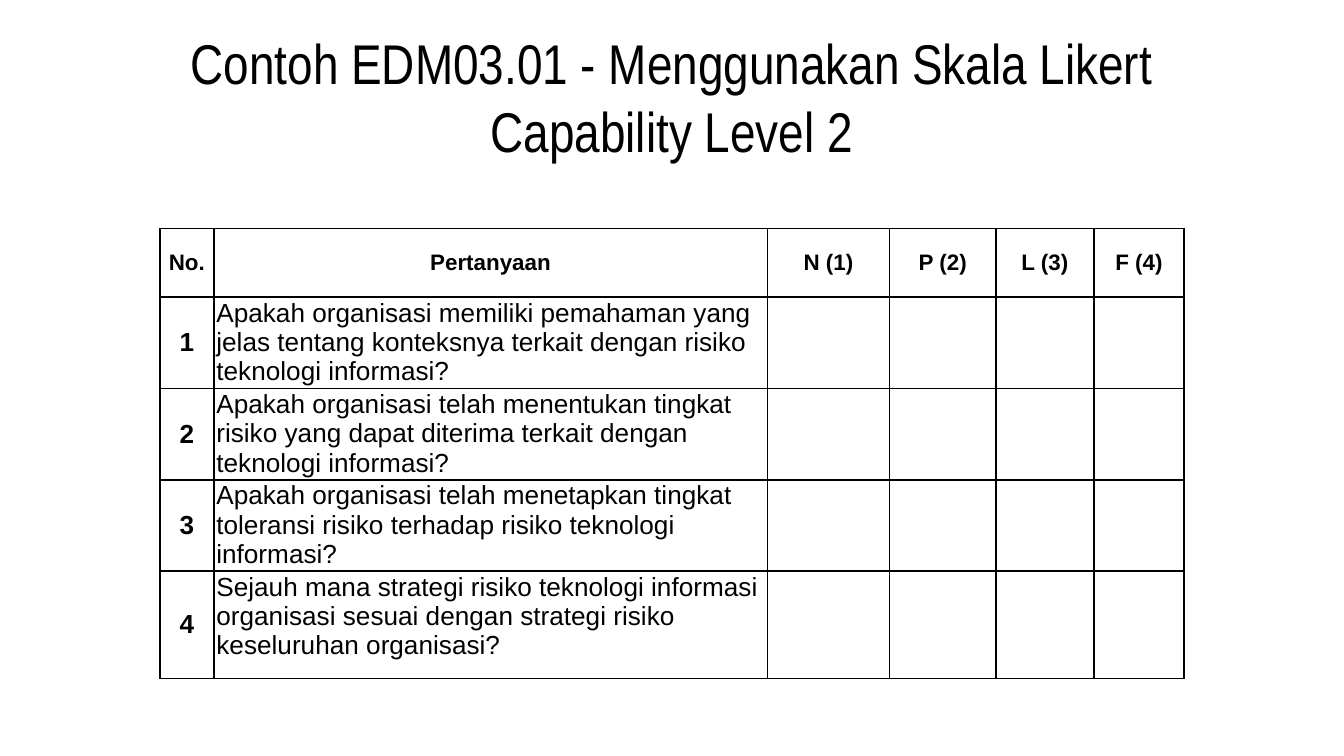
from lxml import etree
from pptx import Presentation
from pptx.dml.color import RGBColor
from pptx.enum.text import MSO_ANCHOR, PP_ALIGN
from pptx.oxml.ns import qn
from pptx.util import Inches, Pt

LEFT, CENTER = PP_ALIGN.LEFT, PP_ALIGN.CENTER
TOP, MIDDLE = MSO_ANCHOR.TOP, MSO_ANCHOR.MIDDLE

TITLE = "Contoh EDM03.01 - Menggunakan Skala Likert\nCapability Level 2"
HEADS = ["No.", "Pertanyaan", "N (1)", "P (2)", "L (3)", "F (4)"]
ASKS = [
    "Apakah organisasi memiliki pemahaman yang jelas tentang konteksnya terkait dengan risiko teknologi informasi?",
    "Apakah organisasi telah menentukan tingkat risiko yang dapat diterima terkait dengan teknologi informasi?",
    "Apakah organisasi telah menetapkan tingkat toleransi risiko terhadap risiko teknologi informasi?",
    "Sejauh mana strategi risiko teknologi informasi organisasi sesuai dengan strategi risiko keseluruhan organisasi?",
]

THEME = {
    "ink": "000000", "paper": "FFFFFF",
    "title": 30, "head": 12, "body": 14, "line": 1,
    "title_font": "Arial Narrow", "font": "Arial",
}
WIDE = 10
HIGH = WIDE * 9 / 16
EDGE = 0.5
COLS = [0.4, 4.12, 0.91, 0.79, 0.73, 0.67]
ROWS = [0.51] + [0.68] * 3 + [0.8]
TABLE_TOP = 1.7


def write(frame, text, size, font=THEME["font"], bold=False, align=LEFT):
    para = frame.paragraphs[0]
    para.text = text
    para.alignment = align
    for run in para.runs:
        run.font.size = Pt(size)
        run.font.name = font
        run.font.bold = bold
        run.font.color.rgb = RGBColor.from_string(THEME["ink"])


def border(cell):
    props = cell._tc.get_or_add_tcPr()
    for spot, side in enumerate(("lnL", "lnR", "lnT", "lnB")):
        line = etree.Element(qn("a:" + side), w=str(Pt(THEME["line"])))
        fill = etree.SubElement(line, qn("a:solidFill"))
        etree.SubElement(fill, qn("a:srgbClr"), val=THEME["ink"])
        props.insert(spot, line)


def style(cell, anchor):
    cell.margin_left = cell.margin_right = Inches(0.02)
    cell.margin_top = cell.margin_bottom = Inches(0.01)
    cell.vertical_anchor = anchor
    cell.fill.solid()
    cell.fill.fore_color.rgb = RGBColor.from_string(THEME["paper"])
    border(cell)


def add_grid(slide):
    data = [HEADS] + [[str(n), ask] for n, ask in enumerate(ASKS, 1)]
    wide = sum(COLS)
    grid = slide.shapes.add_table(
        len(ROWS), len(COLS), Inches((WIDE - wide) / 2), Inches(TABLE_TOP),
        Inches(wide), Inches(sum(ROWS))).table
    grid.first_row = grid.horz_banding = False
    for col, size in zip(grid.columns, COLS):
        col.width = Inches(size)
    for row, size in zip(grid.rows, ROWS):
        row.height = Inches(size)
    for r, texts in enumerate(data):
        for c in range(len(COLS)):
            cell = grid.cell(r, c)
            label = r == 0 or c == 0
            style(cell, MIDDLE if label else TOP)
            if c < len(texts):
                write(cell.text_frame, texts[c],
                      THEME["body"] if r else THEME["head"],
                      bold=label, align=CENTER if label else LEFT)


def add_title(slide):
    box = slide.shapes.add_textbox(
        Inches(EDGE), Inches(0.45), Inches(WIDE - 2 * EDGE), Inches(0.53))
    frame = box.text_frame
    frame.word_wrap = True
    frame.vertical_anchor = MIDDLE
    frame.margin_left = frame.margin_right = Inches(0.1)
    frame.margin_top = frame.margin_bottom = Inches(0.1)
    write(frame, TITLE.replace("\n", "\v"), THEME["title"],
          font=THEME["title_font"], align=CENTER)


def main():
    deck = Presentation()
    deck.slide_width, deck.slide_height = Inches(WIDE), Inches(HIGH)
    slide = deck.slides.add_slide(deck.slide_layouts[6])
    add_grid(slide)
    add_title(slide)
    deck.save("out.pptx")


if __name__ == "__main__":
    main()
